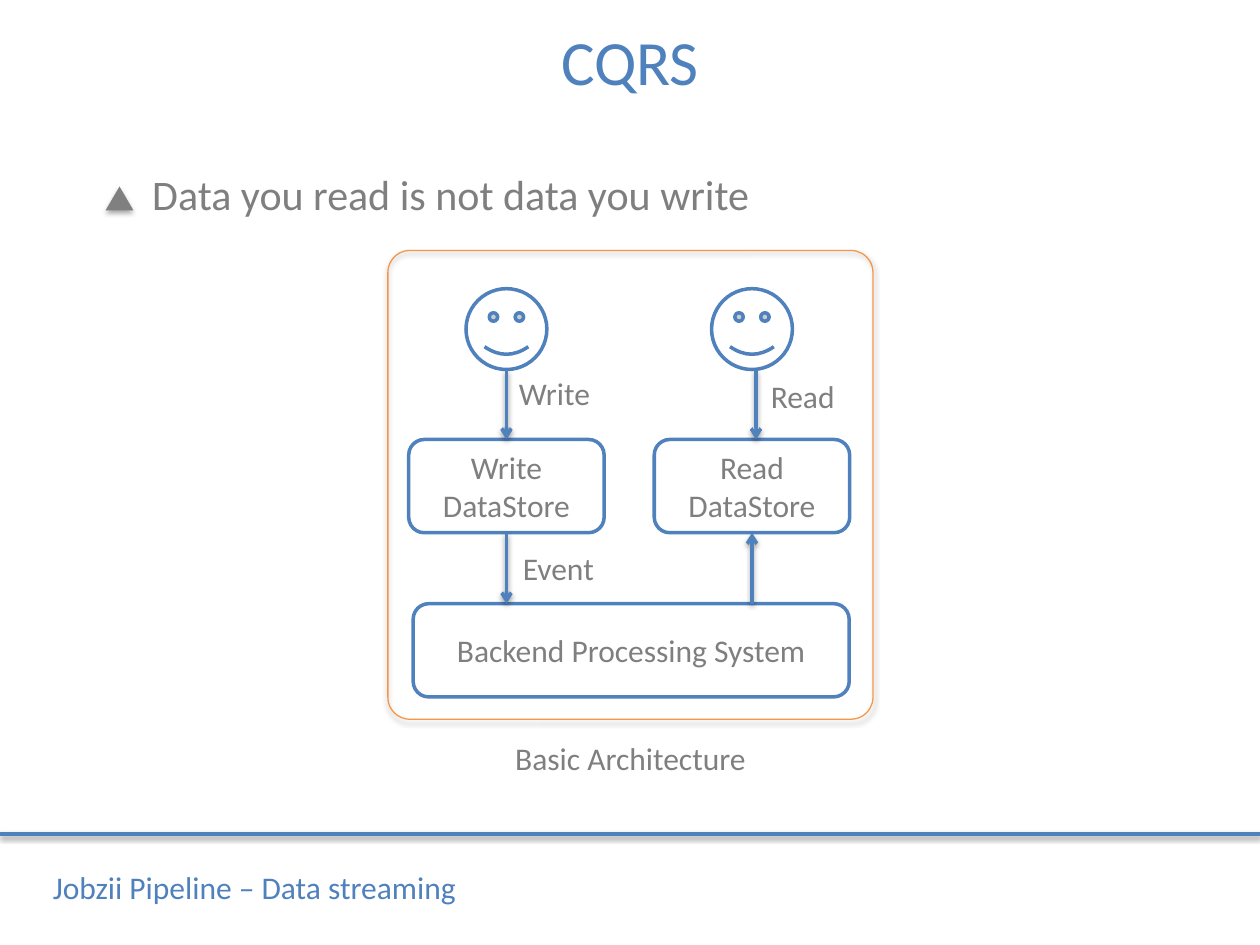
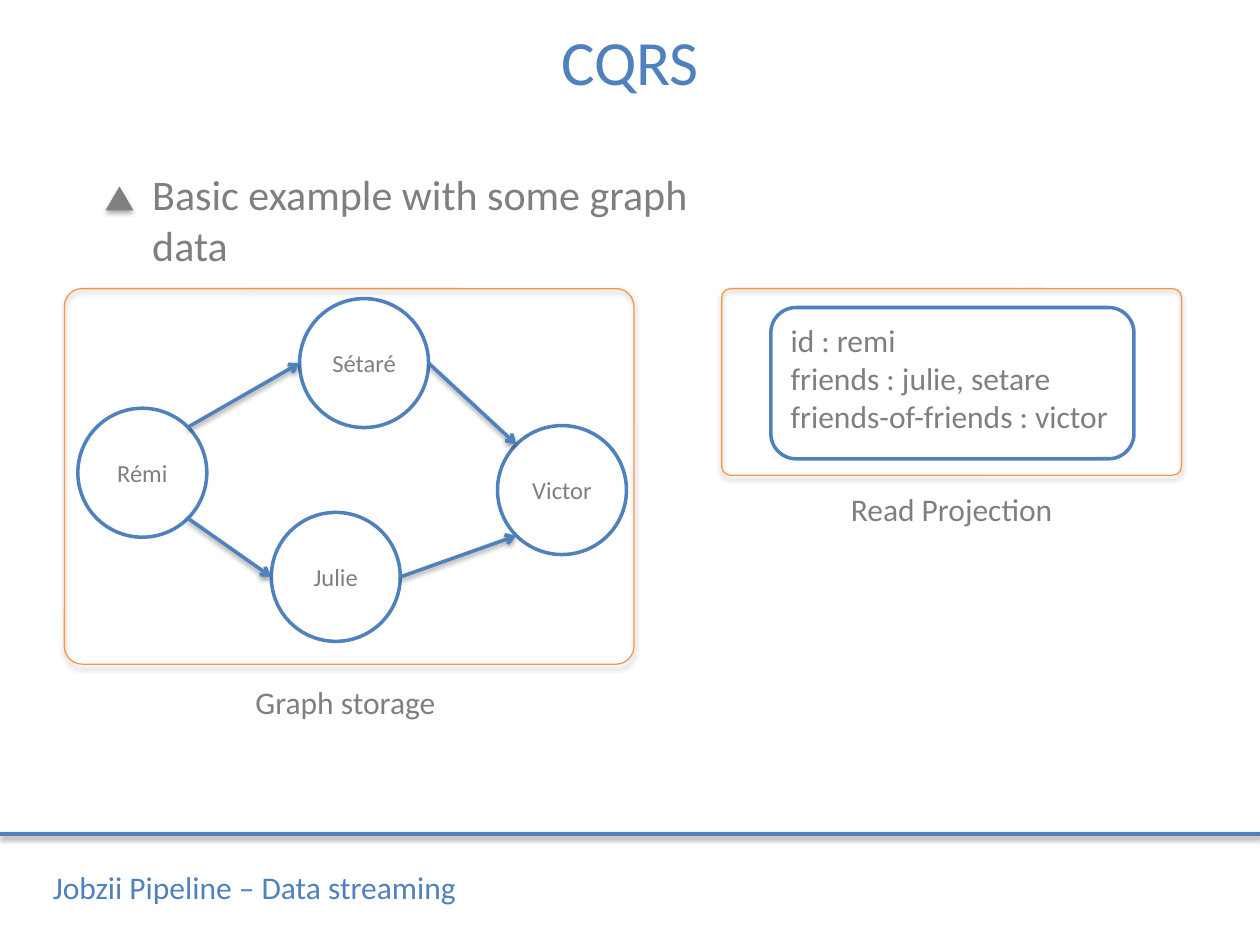
import math

from lxml import etree
from pptx import Presentation
from pptx import util as u
from pptx.dml import color
from pptx.enum import shapes, text
from pptx.oxml import ns

# Shared look
BLUE, GREY, ORANGE, WHITE = "4F81BD", "7F7F7F", "F79646", "FFFFFF"
TRIANGLE_GREY = "808080"
FONT = "Calibri"
WIDTH, HEIGHT = 25.4, 19.05
LABEL_HEIGHT = 1.02
LINE_SHADOW = {"opacity": 38, "blur": 3.1, "distance": 1.6}
SHAPE_SHADOW = {"opacity": 35, "blur": 3.1, "distance": 1.8}
KIND = shapes.MSO_SHAPE
LEFT, CENTER = text.PP_ALIGN.LEFT, text.PP_ALIGN.CENTER

# Content, lengths in centimetres
TITLE = "CQRS"
FOOTER = "Jobzii Pipeline – Data streaming"

ARCHITECTURE = {
    "headline": "Data you read is not data you write",
    "columns": [("Write DataStore", 10.21), ("Read DataStore", 15.16)],
    "backend": ("Backend Processing System", (8.33, 12.17, 8.79, 1.88)),
    "arrows": [
        ((10.21, 7.46), (10.21, 8.86)),
        ((15.24, 7.46), (15.24, 8.86)),
        ((10.21, 10.74), (10.21, 12.17)),
        ((15.16, 12.17), (15.16, 10.74)),
    ],
    "labels": [("Write", 10.21, 7.42), ("Read", 15.29, 7.47), ("Event", 10.29, 10.95)],
    # caption, panel box, caption top, caption width
    "panels": [("Basic Architecture", (7.82, 5.05, 9.78, 9.45), 14.78, 9.78)],
}

GRAPH = {
    "headline": "Basic example with some graph data",
    "people": {
        "Rémi": (2.87, 9.53),
        "Sétaré": (7.34, 7.32),
        "Julie": (6.77, 11.63),
        "Victor": (11.33, 9.88),
    },
    # person, leaving angle, friend, arriving angle (clockwise from the right)
    "friendships": [
        ("Rémi", 45, "Julie", 180),
        ("Rémi", -45, "Sétaré", 180),
        ("Julie", 0, "Victor", 135),
        ("Sétaré", 0, "Victor", -135),
    ],
    "projection": (
        "id : remi\nfriends : julie, setare\nfriends-of-friends : victor",
        (15.54, 6.2, 7.32, 3.05),
    ),
    "panels": [
        ("Graph storage", (1.3, 5.82, 11.48, 7.57), 13.64, 11.33),
        ("Read Projection", (14.55, 5.82, 9.27, 3.76), 9.75, 9.27),
    ],
}


def rgb(value):
    return color.RGBColor.from_string(value)


def cm(values):
    return [u.Cm(value) for value in values]


def set_shadow(shape, shadow=None):
    """Replace the theme shadow by the given one, or by none."""
    properties = shape._element.spPr
    for old in properties.findall(ns.qn("a:effectLst")):
        properties.remove(old)
    effects = etree.SubElement(properties, ns.qn("a:effectLst"))
    if shadow:
        outer = etree.SubElement(
            effects, ns.qn("a:outerShdw"), dir="5400000", rotWithShape="0",
            blurRad=str(u.Pt(shadow["blur"])), dist=str(u.Pt(shadow["distance"])))
        black = etree.SubElement(outer, ns.qn("a:srgbClr"), val="000000")
        etree.SubElement(black, ns.qn("a:alpha"), val=str(shadow["opacity"] * 1000))


def write(shape, words, size, font_color=GREY, align=CENTER, **frame_format):
    frame = shape.text_frame
    for name, value in frame_format.items():
        setattr(frame, name, value)
    frame.text = words
    font_format = {"size": u.Pt(size), "name": FONT}
    for paragraph in frame.paragraphs:
        paragraph.alignment = align
        for run in paragraph.runs:
            for name, value in font_format.items():
                setattr(run.font, name, value)
            run.font.color.rgb = rgb(font_color)


def add_text(slide, words, box, size=18, font_color=GREY, align=CENTER, wrap=True):
    shape = slide.shapes.add_textbox(*cm(box))
    write(shape, words, size, font_color, align, word_wrap=wrap,
          auto_size=text.MSO_AUTO_SIZE.SHAPE_TO_FIT_TEXT)


def add_shape(slide, kind, box, fill=WHITE, line=BLUE, line_width=2, shadow=None):
    shape = slide.shapes.add_shape(kind, *cm(box))
    if fill:
        shape.fill.solid()
        shape.fill.fore_color.rgb = rgb(fill)
    else:
        shape.fill.background()
    if line:
        shape.line.color.rgb = rgb(line)
        shape.line.width = u.Pt(line_width)
    else:
        shape.line.fill.background()
    set_shadow(shape, shadow)
    return shape


def add_node(slide, kind, words, box, size=18, align=CENTER,
             anchor=text.MSO_ANCHOR.MIDDLE):
    shape = add_shape(slide, kind, box)
    write(shape, words, size, align=align, word_wrap=True, vertical_anchor=anchor)


def add_line(slide, start, end, arrow=True):
    line = slide.shapes.add_connector(
        shapes.MSO_CONNECTOR.STRAIGHT, *cm(start), *cm(end))
    line.line.color.rgb = rgb(BLUE)
    line.line.width = u.Pt(2)
    if arrow:
        etree.SubElement(line.line._get_or_add_ln(), ns.qn("a:tailEnd"), type="arrow")
    set_shadow(line, LINE_SHADOW)


def add_panels(slide, panels):
    for caption, box, caption_top, caption_width in panels:
        panel = add_shape(slide, KIND.ROUNDED_RECTANGLE, box, fill=None, line=ORANGE,
                          line_width=0.75, shadow=SHAPE_SHADOW)
        panel.adjustments[0] = 0.047
        add_text(slide, caption, (box[0], caption_top, caption_width, LABEL_HEIGHT))


def add_framed_slide(presentation, headline):
    """Slide with the shared title, footer and bulleted headline."""
    slide = presentation.slides.add_slide(presentation.slide_layouts[6])
    add_line(slide, (0, 16.81), (WIDTH, 16.81), arrow=False)
    add_text(slide, TITLE, (0, 0.33, WIDTH, 1.8), 36, BLUE)
    add_text(slide, FOOTER, (0.66, 17.37, 8.94, LABEL_HEIGHT), 18, BLUE, wrap=False)
    add_text(slide, headline, (2.82, 3.28, 13, 1.27), 24, align=LEFT, wrap=False)
    add_shape(slide, KIND.ISOSCELES_TRIANGLE, (2.13, 3.76, 0.56, 0.48),
              fill=TRIANGLE_GREY, line=None, shadow=SHAPE_SHADOW)
    return slide


def build_architecture(presentation, content):
    slide = add_framed_slide(presentation, content["headline"])
    # A user above each data store
    face, store_width, store_height = 1.63, 3.94, 1.88
    for store, center in content["columns"]:
        add_shape(slide, KIND.SMILEY_FACE, (center - face / 2, 5.82, face, face))
        add_node(slide, KIND.ROUNDED_RECTANGLE, store,
                 (center - store_width / 2, 8.86, store_width, store_height))
    add_node(slide, KIND.ROUNDED_RECTANGLE, *content["backend"])
    # Flow
    for start, end in content["arrows"]:
        add_line(slide, start, end)
    for label, left, top in content["labels"]:
        add_text(slide, label, (left, top, 1.98, LABEL_HEIGHT), align=LEFT, wrap=False)
    add_panels(slide, content["panels"])


def build_graph(presentation, content):
    slide = add_framed_slide(presentation, content["headline"])
    people, radius = content["people"], 1.3

    def edge(person, degrees):
        x, y = people[person]
        angle = math.radians(degrees)
        return x + radius * math.cos(angle), y + radius * math.sin(angle)

    # People and friendships
    for person, (x, y) in people.items():
        add_node(slide, KIND.OVAL, person,
                 (x - radius, y - radius, 2 * radius, 2 * radius), size=14)
    for person, leaving, friend, arriving in content["friendships"]:
        add_line(slide, edge(person, leaving), edge(friend, arriving))
    # Projection record
    add_node(slide, KIND.ROUNDED_RECTANGLE, *content["projection"], align=LEFT,
             anchor=text.MSO_ANCHOR.TOP)
    add_panels(slide, content["panels"])


def main():
    presentation = Presentation()
    presentation.slide_width, presentation.slide_height = cm((WIDTH, HEIGHT))
    build_architecture(presentation, ARCHITECTURE)
    build_graph(presentation, GRAPH)
    presentation.save("out.pptx")


if __name__ == "__main__":
    main()
